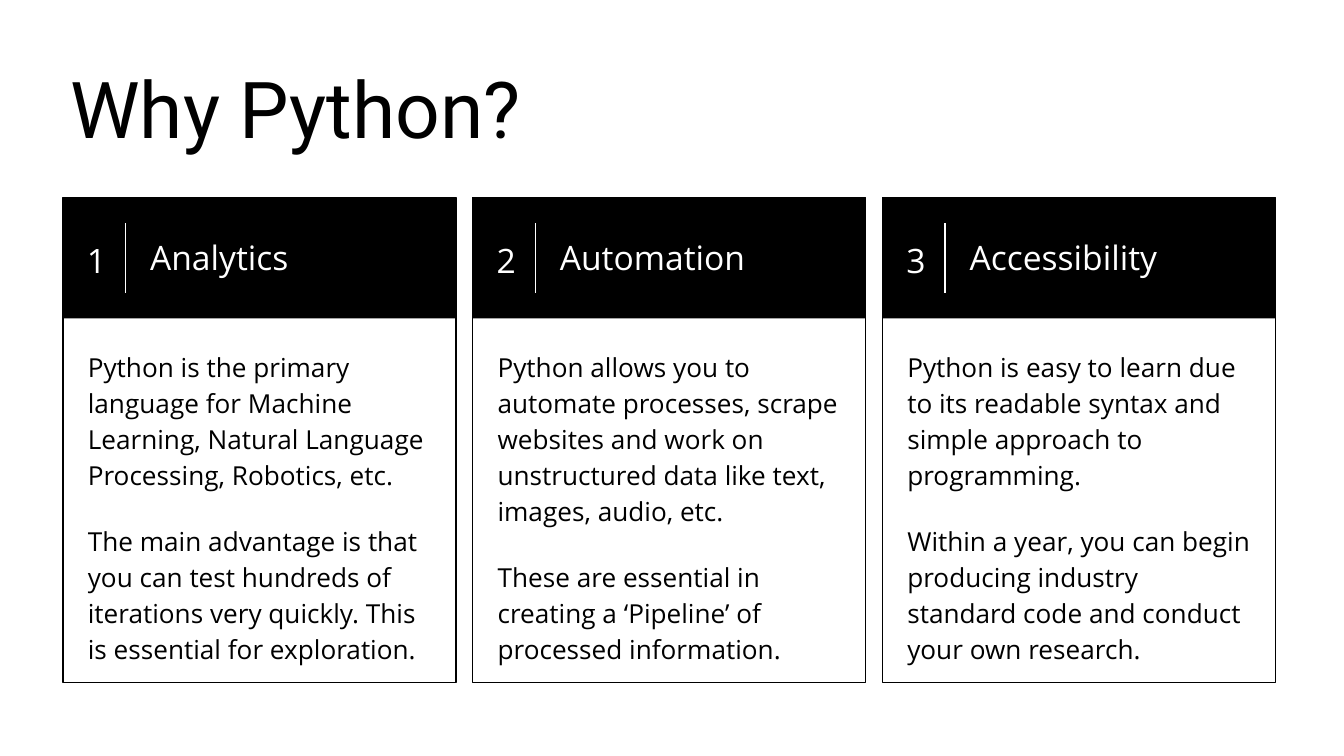
"""Build a slide with three reasons to learn Python."""
from lxml.etree import SubElement
from pptx import Presentation
from pptx.dml.color import RGBColor
from pptx.enum.shapes import MSO_CONNECTOR as Connector, MSO_SHAPE as Shape
from pptx.enum.text import MSO_ANCHOR as Anchor, MSO_AUTO_SIZE as AutoSize, PP_ALIGN as Align
from pptx.oxml.ns import qn
from pptx.util import Pt

COLORS = {"ink": "000000", "paper": "FFFFFF"}
TITLE_ONLY = 5
CARD_LEFT, CARD_TOP, CARD_STEP = 33.8, 105.8, 219.5
CARD_WIDTH, CARD_HEIGHT, HEADER_HEIGHT = 210.5, 260, 64.8

REASONS = [
    ("Analytics", [
        "Python is the primary language for Machine Learning, Natural Language "
        "Processing, Robotics, etc.",
        "The main advantage is that you can test hundreds of iterations very quickly. "
        "This is essential for exploration.",
    ]),
    ("Automation", [
        "Python allows you to automate processes, scrape websites and work on "
        "unstructured data like text, images, audio, etc.",
        "These are essential in creating a ‘Pipeline’ of processed information.",
    ]),
    ("Accessibility", [
        "Python is easy to learn due to its readable syntax and simple approach to "
        "programming.",
        "Within a year, you can begin producing industry standard code and conduct "
        "your own research.",
    ]),
]


def color(name):
    """Return the named colour."""
    return RGBColor.from_string(COLORS[name])


def write(box, texts, size, font="Open Sans", ink="ink", anchor=Anchor.TOP,
          align=Align.LEFT, spacing=1.0, gap=0):
    """Fill a box with paragraphs in one format, with a gap between them."""
    frame = box.text_frame
    frame.word_wrap = True
    frame.auto_size = AutoSize.NONE
    frame.vertical_anchor = anchor
    frame.margin_left = frame.margin_right = Pt(7.2)
    frame.margin_top = frame.margin_bottom = Pt(7.2)
    for index, text in enumerate(texts):
        para = frame.add_paragraph() if index else frame.paragraphs[0]
        para.alignment = align
        para.line_spacing = spacing
        para.space_before = Pt(gap if index else 0)
        span = para.add_run()
        span.text = text
        span.font.size = Pt(size)
        span.font.name = font
        span.font.color.rgb = color(ink)


def add_text(page, left, top, width, height, texts, **style):
    """Add a text box holding the given paragraphs."""
    box = page.shapes.add_textbox(Pt(left), Pt(top), Pt(width), Pt(height))
    write(box, texts, **style)


def add_panel(group, left, top, width, height, fill=None, line=None):
    """Add a rectangle with an optional fill and outline."""
    panel = group.shapes.add_shape(Shape.RECTANGLE, Pt(left), Pt(top), Pt(width), Pt(height))
    panel.shadow.inherit = False
    if fill:
        panel.fill.solid()
        panel.fill.fore_color.rgb = color(fill)
    else:
        panel.fill.background()
    if line:
        panel.line.color.rgb = color(line)
        panel.line.width = Pt(0.75)
    else:
        panel.line.fill.background()


def add_divider(page, left, top, height):
    """Add a thin upright line."""
    divider = page.shapes.add_connector(
        Connector.STRAIGHT, Pt(left), Pt(top), Pt(left), Pt(top + height))
    divider.line.color.rgb = color("paper")
    divider.line.width = Pt(0.75)
    SubElement(divider._element.spPr, qn("a:effectLst"))


def add_title(page, left, top, width, height, text):
    """Place and format the title placeholder."""
    title = page.shapes.title
    title.left, title.top, title.width, title.height = map(Pt, (left, top, width, height))
    write(title, [text], size=42, font="Roboto", anchor=Anchor.BOTTOM)


def add_card(page, left, top, width, height, number, heading, texts):
    """Add a numbered card with a dark header and body text."""
    group = page.shapes.add_group_shape()
    add_panel(group, left, top, width, height, line="ink")
    add_panel(group, left, top, width, HEADER_HEIGHT, fill="ink")
    header = {"size": 18, "ink": "paper", "anchor": Anchor.MIDDLE}
    add_text(page, left + 4.4, top - 0.5, 27, HEADER_HEIGHT, [str(number)],
             align=Align.CENTER, spacing=1.15, **header)
    add_divider(page, left + 33.5, top + 13.8, 37.4)
    add_text(page, left + 39.6, top - 0.2, 165.6, HEADER_HEIGHT, [heading], **header)
    add_text(page, left + 6.2, top + 72.8, 199.5, height - 72.8, texts,
             size=14, spacing=1.15, gap=16)


def build():
    """Build and save the deck."""
    deck = Presentation()
    deck.slide_width, deck.slide_height = Pt(720), Pt(405)
    page = deck.slides.add_slide(deck.slide_layouts[TITLE_ONLY])
    add_title(page, 30.5, 36, 659, 54, "Why Python?")
    for index, (heading, texts) in enumerate(REASONS):
        add_card(page, CARD_LEFT + index * CARD_STEP, CARD_TOP, CARD_WIDTH, CARD_HEIGHT,
                 index + 1, heading, texts)
    deck.save("out.pptx")


build()
